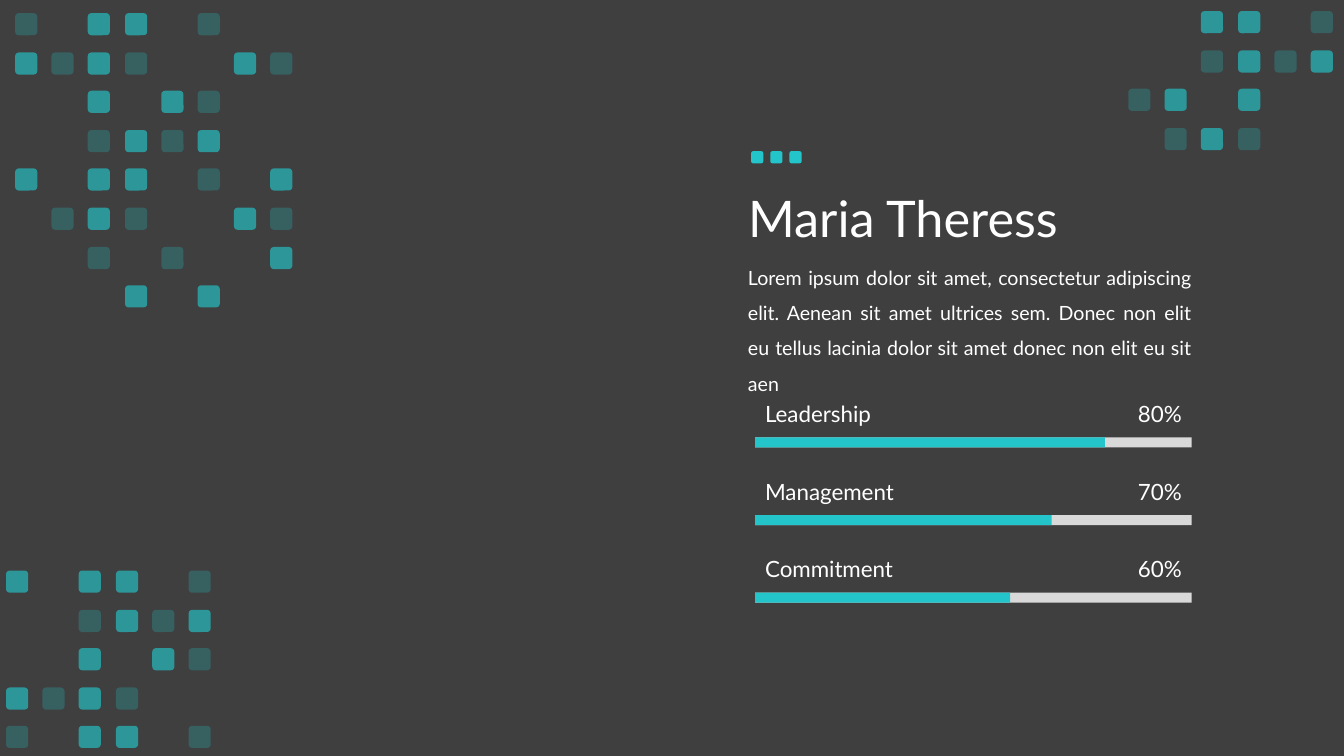
from lxml import etree
from pptx import Presentation
from pptx import util as u
from pptx.dml.color import RGBColor
from pptx.enum import shapes, text
from pptx.oxml import ns

PX = 9144  # EMU per px, 100 px to the inch
COLORS = {"bg": "3F3F3F", "accent": "23C5CA", "track": "D9D9D9", "text": "FFFFFF"}
OPACITY = {"#": 65, "+": 25}
TILE, STEP_X, STEP_Y = 22, 36.2, 38.6

# Left, top and rows of each mosaic: # strong tile, + faint tile
MOSAICS = [
    (6, 566, ["#.##.+",
              "..+#+#",
              "..#.#+",
              "#+#+..",
              "+.##.+"]),
    (15, 13, ["+.##.+..",
              "#+#+..#+",
              "..#.#+..",
              "..+#+#..",
              "#.##.+.#",
              ".+#+..#+",
              "..+.+..#",
              "...#.#.."]),
    (1119, 11, ["..##.+",
                "..+#+#",
                "+#.#..",
                ".+#+.."]),
]
SKILLS = [("Leadership", "80%", 347), ("Management", "70%", 294), ("Commitment", "60%", 253)]
BIO = ("Lorem ipsum dolor sit amet, consectetur adipiscing elit. Aenean sit amet "
       "ultrices sem. Donec non elit eu tellus lacinia dolor sit amet donec non elit eu sit aen")


class Deck:
    def __init__(self, width, height, font):
        self.font = font
        self.prs = Presentation()
        self.prs.slide_width, self.prs.slide_height = width * PX, height * PX
        self.s = self.prs.slides.add_slide(self.prs.slide_layouts[5])
        fill = self.s.background.fill
        fill.solid()
        fill.fore_color.rgb = self.color("bg")

    def color(self, name):
        return RGBColor.from_string(COLORS[name])

    def box(self, x, y, w, h, color, rounded=False, opacity=100, group=None):
        kind = shapes.MSO_SHAPE.ROUNDED_RECTANGLE if rounded else shapes.MSO_SHAPE.RECTANGLE
        parent = group or self.s
        sp = parent.shapes.add_shape(kind, x * PX, y * PX, w * PX, h * PX)
        sp.shadow.inherit = False
        sp.line.fill.background()
        sp.fill.solid()
        sp.fill.fore_color.rgb = self.color(color)
        if opacity < 100:
            clr = sp.element.spPr.find(".//" + ns.qn("a:srgbClr"))
            etree.SubElement(clr, ns.qn("a:alpha"), val=str(opacity * 1000))

    def mosaic(self, left, top, rows):
        group = self.s.shapes.add_group_shape()
        for row, marks in enumerate(rows):
            for col, mark in enumerate(marks):
                if mark in OPACITY:
                    self.box(left + round(col * STEP_X), top + round(row * STEP_Y), TILE, TILE,
                             "accent", True, OPACITY[mark], group)

    def dots(self, x, y, size, step, count):
        group = self.s.shapes.add_group_shape()
        for i in range(count):
            self.box(x + i * step, y, size, size, "accent", True, group=group)

    def fill_text(self, sp, words, size, align, anchor, spacing):
        tf = sp.text_frame
        tf.word_wrap = True
        tf.vertical_anchor = anchor
        p = tf.paragraphs[0]
        p.alignment, p.line_spacing = align, spacing
        r = p.add_run()
        r.text = words
        r.font.name, r.font.size = self.font, u.Pt(size)
        r.font.color.rgb = self.color("text")

    def title(self, x, y, w, h, words, size):
        sp = self.s.shapes.title
        sp.left, sp.top, sp.width, sp.height = x * PX, y * PX, w * PX, h * PX
        self.fill_text(sp, words, size, text.PP_ALIGN.LEFT, text.MSO_ANCHOR.MIDDLE, 0.9)

    def label(self, x, y, w, h, words, size, align=text.PP_ALIGN.LEFT,
              anchor=text.MSO_ANCHOR.MIDDLE, spacing=1.0):
        sp = self.s.shapes.add_textbox(x * PX, y * PX, w * PX, h * PX)
        self.fill_text(sp, words, size, align, anchor, spacing)
        sp.text_frame.auto_size = text.MSO_AUTO_SIZE.SHAPE_TO_FIT_TEXT

    def skill(self, x, y, name, percent, filled):
        """Draw a skill's bar at x, y with its name and percentage above."""
        self.box(x, y, 433, 10, "track")
        self.box(x, y, filled, 10, "accent")
        self.label(x, y - 42, 207, 37, name, 16)
        self.label(x + 327, y - 42, 106, 37, percent, 16, text.PP_ALIGN.RIGHT)


def main():
    deck = Deck(1333, 750, "Lato")
    for left, top, rows in MOSAICS:
        deck.mosaic(left, top, rows)
    deck.title(732, 147, 590, 145, "Maria Theress", 36)
    deck.label(732, 247, 460, 111, BIO, 14, text.PP_ALIGN.JUSTIFY, text.MSO_ANCHOR.TOP, 1.5)
    for i, (name, percent, filled) in enumerate(SKILLS):
        deck.skill(749, 434 + i * 77, name, percent, filled)
    deck.dots(745, 150, 12, 19, 3)
    deck.prs.save("out.pptx")


if __name__ == "__main__":
    main()
